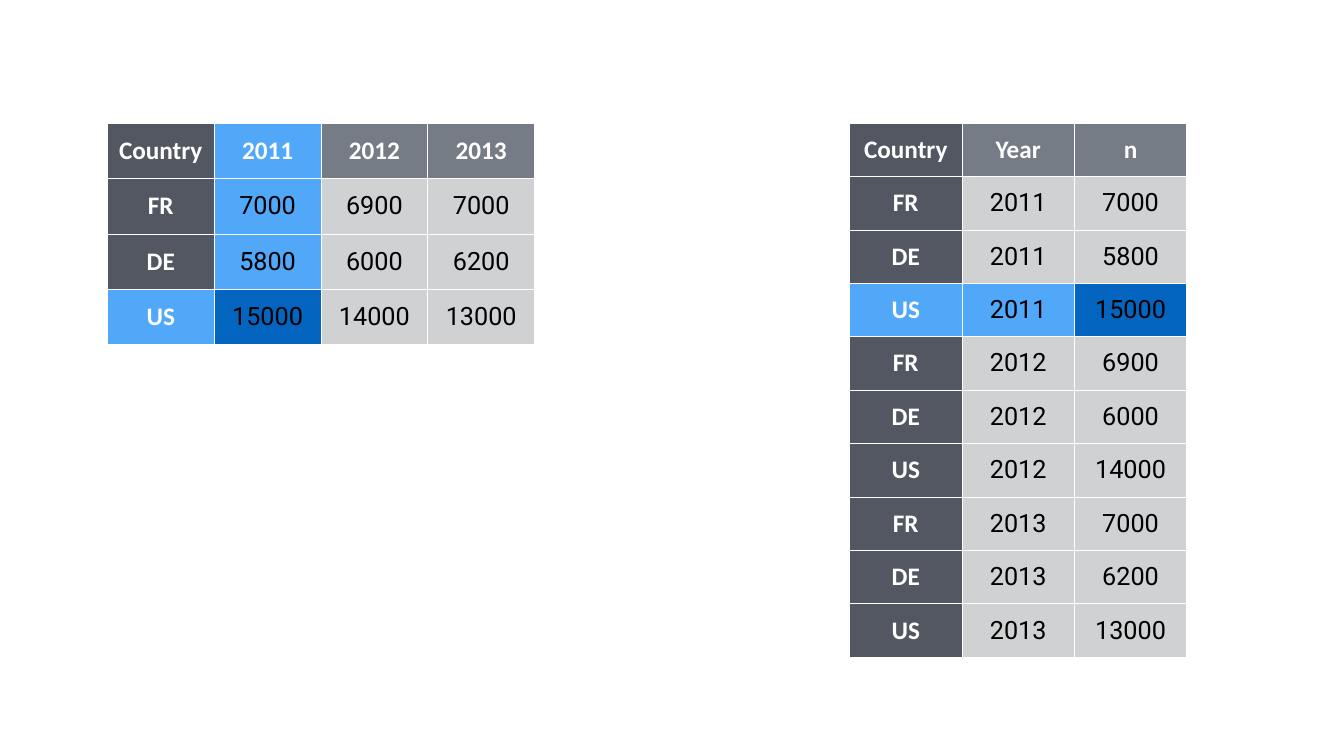
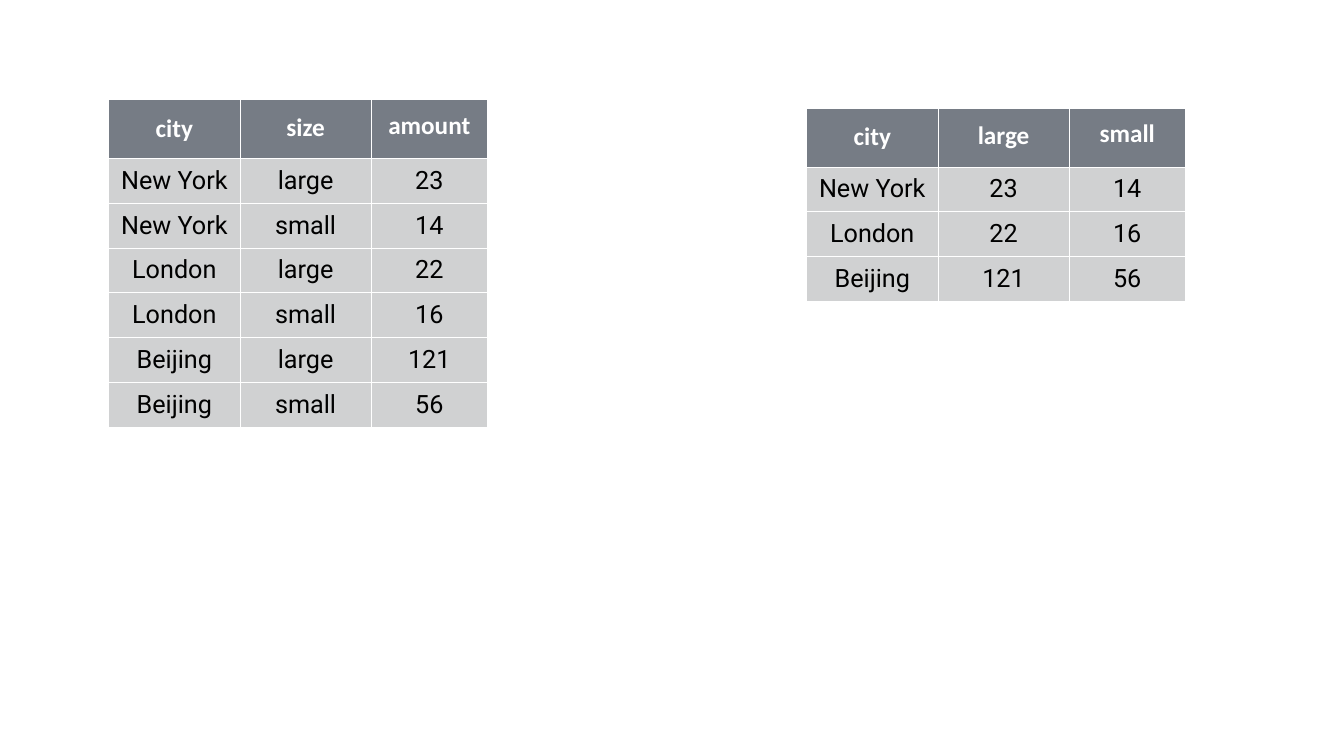
import pptx
import pptx.dml.color
import pptx.enum.text
import pptx.oxml
import pptx.oxml.ns
import pptx.util
from pptx.util import Inches

COLORS = {
    "header": "767C85",
    "stub": "535761",
    "cell": "D0D1D2",
    "highlight": "51A8F9",
    "focus": "0365C0",
    "white": "FFFFFF",
    "black": "000000",
}
HEADING_FONT = "Calibri"
VALUE_FONT = "Roboto"
BLANK_LAYOUT = 6


class TableDeck:
    """Holds the table style and the current slide."""

    def __init__(self, presentation):
        self.presentation = presentation
        self.slide = None

    def new_slide(self):
        layout = self.presentation.slide_layouts[BLANK_LAYOUT]
        self.slide = self.presentation.slides.add_slide(layout)

    def add_borders(self, cell):
        properties = cell._tc.get_or_add_tcPr()
        for index, side in enumerate(("lnL", "lnR", "lnT", "lnB")):
            border = pptx.oxml.parse_xml(
                f'<a:{side} {pptx.oxml.ns.nsdecls("a")} w="12700"><a:solidFill>'
                f'<a:srgbClr val="{COLORS["white"]}"/></a:solidFill></a:{side}>')
            properties.insert(index, border)

    def format_cell(self, cell, text, fill, heading, line_spacing=None):
        cell.fill.solid()
        cell.fill.fore_color.rgb = pptx.dml.color.RGBColor.from_string(COLORS[fill])
        self.add_borders(cell)
        cell.vertical_anchor = pptx.enum.text.MSO_ANCHOR.MIDDLE
        cell.margin_left = cell.margin_right = Inches(0.06)
        cell.margin_top = cell.margin_bottom = Inches(0.06)
        cell.text_frame.text = str(text)
        paragraph = cell.text_frame.paragraphs[0]
        paragraph.alignment = pptx.enum.text.PP_ALIGN.CENTER
        if line_spacing:
            paragraph.line_spacing = line_spacing
        font = paragraph.runs[0].font
        font.name = HEADING_FONT if heading else VALUE_FONT
        font.size = pptx.util.Pt(36)
        font.bold = heading
        color = COLORS["white" if heading else "black"]
        font.color.rgb = pptx.dml.color.RGBColor.from_string(color)

    def add_table(self, rows, left, top, widths, header_height, row_height,
                  stub=False, fills=None, header_spacing=None):
        """Draw rows; fills maps (row, column) to a colour name."""
        fills = fills or {}
        height = header_height + row_height * (len(rows) - 1)
        table = self.slide.shapes.add_table(
            len(rows), len(widths), Inches(left), Inches(top),
            Inches(sum(widths)), Inches(height)).table
        table.first_row = table.horz_banding = False
        for column, width in zip(table.columns, widths):
            column.width = Inches(width)
        for row_index, values in enumerate(rows):
            is_header = row_index == 0
            table.rows[row_index].height = Inches(header_height if is_header else row_height)
            for column_index, value in enumerate(values):
                is_stub = stub and column_index == 0
                default = "stub" if is_stub else "header" if is_header else "cell"
                spacing = header_spacing[column_index] if is_header and header_spacing else None
                self.format_cell(
                    table.cell(row_index, column_index), value,
                    fills.get((row_index, column_index), default),
                    is_header or is_stub, spacing)


def add_gather_slide(deck):
    """Year columns become rows."""
    deck.new_slide()
    years = [2011, 2012, 2013]
    cases = {"FR": [7000, 6900, 7000], "DE": [5800, 6000, 6200], "US": [15000, 14000, 13000]}

    # Wide table
    wide_rows = [["Country", *years]]
    wide_rows += [[country, *counts] for country, counts in cases.items()]
    wide_fills = {(row, 1): "highlight" for row in range(3)}
    wide_fills |= {(3, 0): "highlight", (3, 1): "focus"}
    deck.add_table(wide_rows, 2.13, 2.44, [2.12] * 4, 1.1, 1.1, stub=True, fills=wide_fills)

    # Long table
    long_rows = [["Country", "Year", "n"]]
    long_rows += [[country, year, counts[index]]
                  for index, year in enumerate(years)
                  for country, counts in cases.items()]
    long_fills = {(3, 0): "highlight", (3, 1): "highlight", (3, 2): "focus"}
    deck.add_table(long_rows, 16.86, 2.44, [2.23] * 3, 1.06, 1.06, stub=True, fills=long_fills)


def add_spread_slide(deck):
    """Size rows become columns."""
    deck.new_slide()
    sizes = ["large", "small"]
    pollution = {"New York": [23, 14], "London": [22, 16], "Beijing": [121, 56]}
    style = {"widths": [2.62, 2.59, 2.32], "row_height": 0.89,
             "header_spacing": [None, 0.8, 0.6]}

    # Long table
    long_rows = [["city", "size", "amount"]]
    long_rows += [[city, size, amount]
                  for city, amounts in pollution.items()
                  for size, amount in zip(sizes, amounts)]
    deck.add_table(long_rows, 2.15, 1.98, header_height=1.16, **style)

    # Wide table
    wide_rows = [["city", *sizes]]
    wide_rows += [[city, *amounts] for city, amounts in pollution.items()]
    deck.add_table(wide_rows, 16, 2.14, header_height=1.17, **style)


def main():
    presentation = pptx.Presentation()
    presentation.slide_width = Inches(26.67)
    presentation.slide_height = Inches(15)
    deck = TableDeck(presentation)
    add_gather_slide(deck)
    add_spread_slide(deck)
    presentation.save("out.pptx")


if __name__ == "__main__":
    main()
